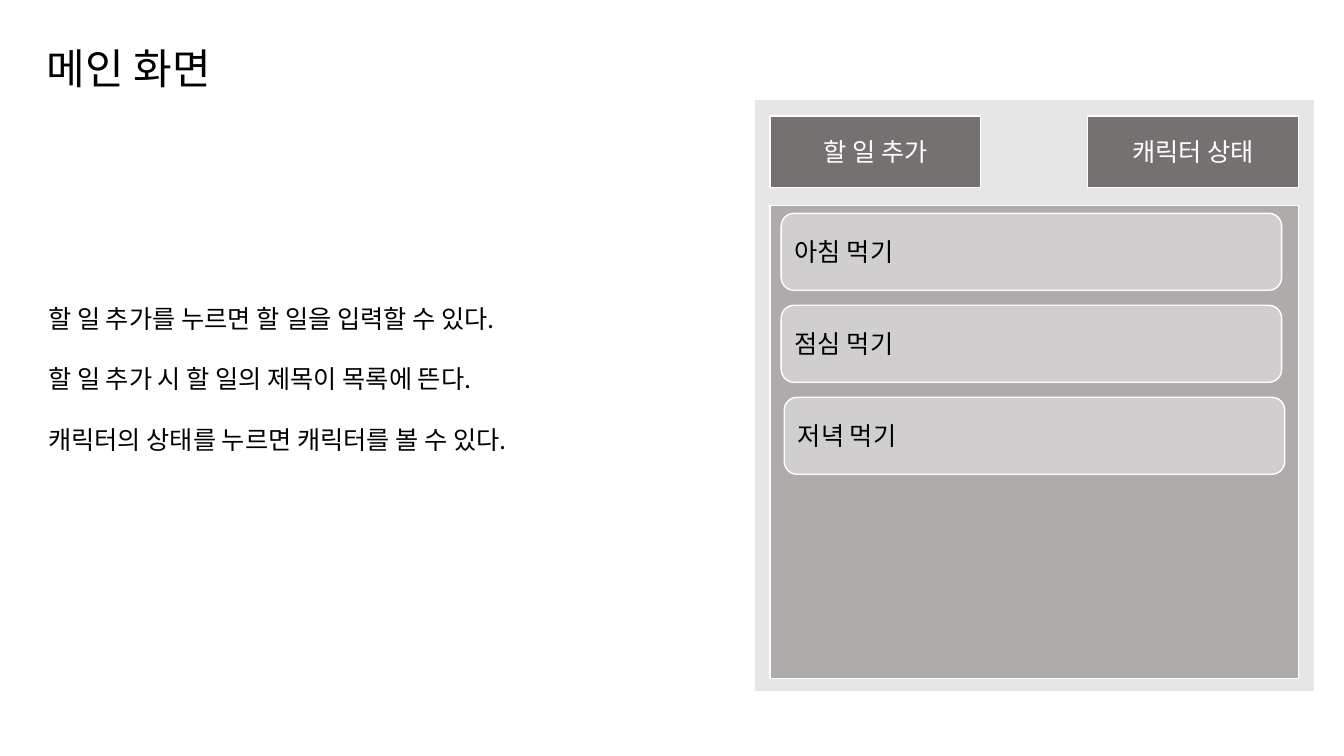
from dataclasses import dataclass

from pptx import Presentation
from pptx.dml.color import RGBColor
from pptx.enum.shapes import MSO_SHAPE as Shape
from pptx.enum.text import MSO_ANCHOR as Anchor, PP_ALIGN as Align
from pptx.oxml.ns import qn
from pptx.oxml.xmlchemy import OxmlElement
from pptx.util import Pt


@dataclass(frozen=True)
class Theme:
    font: str = "Noto Sans CJK KR"
    title_size: int = 30
    body_size: int = 18
    ink: str = "000000"
    white: str = "FFFFFF"
    screen: str = "E7E6E6"
    button: str = "767171"
    task_list: str = "AFABAB"
    task: str = "D0CECE"


THEME = Theme()


def style(paragraph, size, color, align):
    paragraph.alignment = align
    font = paragraph.font
    font.size = Pt(size)
    font.name = THEME.font
    font.color.rgb = RGBColor.from_string(color)
    east_asian = OxmlElement("a:ea")
    east_asian.set("typeface", THEME.font)
    paragraph._p.pPr.find(qn("a:defRPr")).append(east_asian)


def add_panel(slide, box, fill, kind=Shape.RECTANGLE):
    panel = slide.shapes.add_shape(kind, *map(Pt, box))
    panel.shadow.inherit = False
    panel.fill.solid()
    panel.fill.fore_color.rgb = RGBColor.from_string(fill)
    panel.line.color.rgb = RGBColor.from_string(THEME.white)
    panel.line.width = Pt(1)
    return panel


def add_label(panel, text, color, align):
    frame = panel.text_frame
    frame.word_wrap = True
    frame.vertical_anchor = Anchor.MIDDLE
    frame.text = text
    style(frame.paragraphs[0], THEME.body_size, color, align)


def add_button(slide, left, text):
    button = add_panel(slide, (left, 82.8, 150.5, 51.1), THEME.button)
    add_label(button, text, THEME.white, Align.CENTER)


def add_task(slide, left, top, text):
    task = add_panel(slide, (left, top, 357.5, 55), THEME.task,
                     Shape.ROUNDED_RECTANGLE)
    add_label(task, text, THEME.ink, Align.LEFT)


def add_text(slide, box, lines, size, align, anchor=Anchor.TOP):
    frame = slide.shapes.add_textbox(*map(Pt, box)).text_frame
    frame.word_wrap = True
    frame.vertical_anchor = anchor
    frame.text = "\n".join(lines)
    for paragraph in frame.paragraphs:
        style(paragraph, size, THEME.ink, align)
    return frame


def add_title(slide, text):
    title = add_text(slide, (18, 20.9, 148.3, 49.7), [text],
                     THEME.title_size, Align.CENTER, Anchor.BOTTOM)
    title.paragraphs[0].line_spacing = 0.9


def add_notes_list(slide, lines):
    notes = add_text(slide, (27.4, 213, 476, 138), lines,
                     THEME.body_size, Align.LEFT)
    for paragraph in notes.paragraphs:
        paragraph.line_spacing = Pt(21.6)
        paragraph.space_after = Pt(21.6)


def main():
    prs = Presentation()
    prs.slide_width, prs.slide_height = Pt(960), Pt(540)
    slide = prs.slides.add_slide(prs.slide_layouts[6])

    add_title(slide, "메인 화면")
    add_panel(slide, (538.6, 70.9, 400.3, 423), THEME.screen)
    add_button(slide, 550.1, "할 일 추가")
    add_button(slide, 776.9, "캐릭터 상태")
    add_panel(slide, (550.1, 146.9, 377.3, 337.7), THEME.task_list)

    tasks = [(558, "아침 먹기"), (558, "점심 먹기"), (560.2, "저녁 먹기")]
    for row, (left, text) in enumerate(tasks):
        add_task(slide, left, 152.4 + row * 65.7, text)

    add_notes_list(slide, [
        "할 일 추가를 누르면 할 일을 입력할 수 있다.",
        "할 일 추가 시 할 일의 제목이 목록에 뜬다.",
        "캐릭터의 상태를 누르면 캐릭터를 볼 수 있다.",
    ])
    prs.save("out.pptx")


if __name__ == "__main__":
    main()
